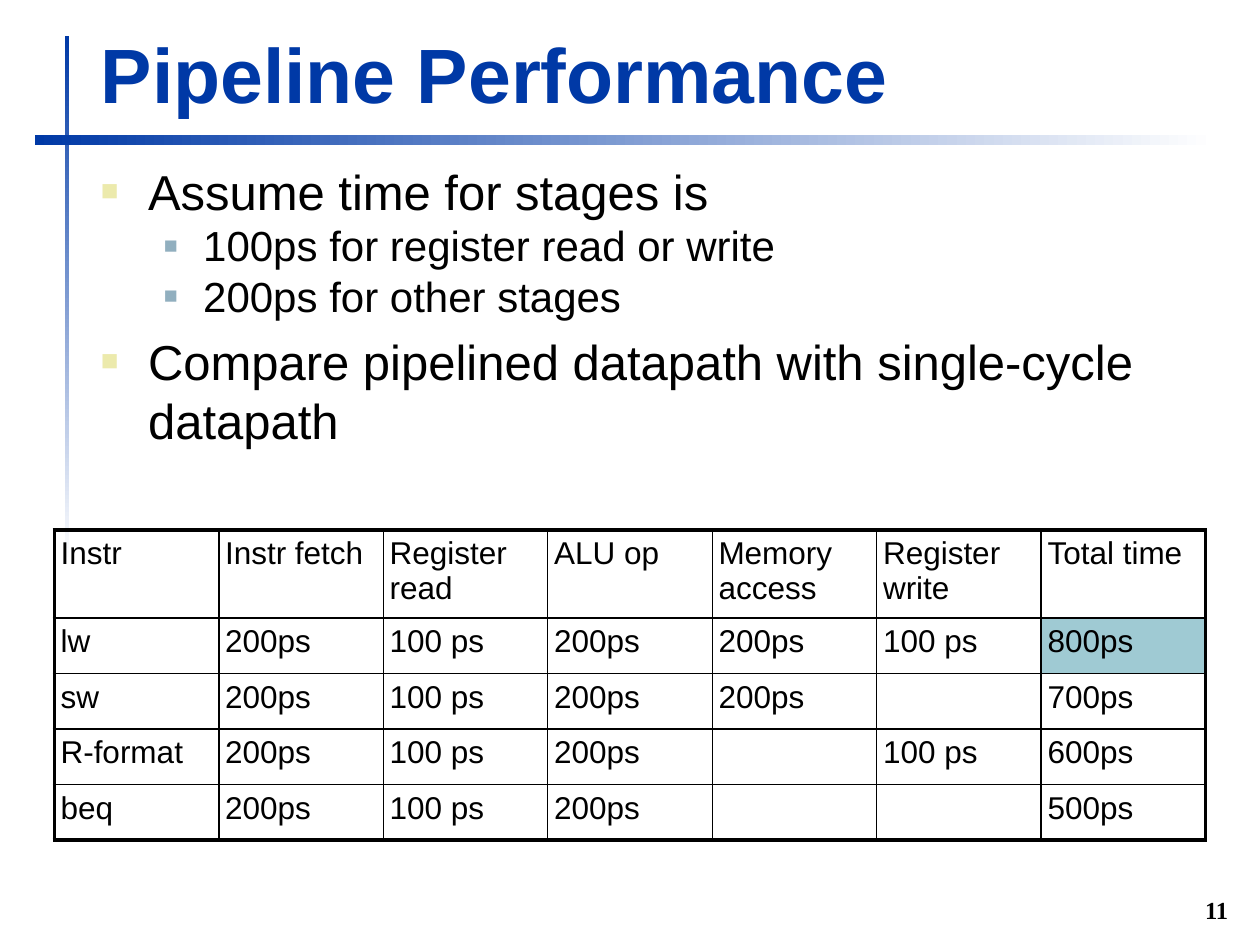
import pptx
import pptx.dml.color
import pptx.enum.shapes
import pptx.enum.text
import pptx.oxml
import pptx.oxml.ns
import pptx.util

Pt = pptx.util.Pt
ANCHOR = pptx.enum.text.MSO_ANCHOR
ALIGN = pptx.enum.text.PP_ALIGN
BLUE = "0039A6"
BLACK = "000000"
INSET = 3.6

BULLETS = [
    ("Assume time for stages is", 0),
    ("100ps for register read or write", 1),
    ("200ps for other stages", 1),
    ("Compare pipelined datapath with single-cycle datapath", 0),
]
LEVELS = [
    dict(size=28, margin=27, hang=27, color="ECEAAC", scale=60, before=6),
    dict(size=24, margin=58.5, hang=22.5, color="91AFBF", scale=55, before=0),
]
TIMES = [
    ["Instr", "Instr fetch", "Register read", "ALU op", "Memory access", "Register write", "Total time"],
    ["lw", "200ps", "100 ps", "200ps", "200ps", "100 ps", "800ps"],
    ["sw", "200ps", "100 ps", "200ps", "200ps", "", "700ps"],
    ["R-format", "200ps", "100 ps", "200ps", "", "100 ps", "600ps"],
    ["beq", "200ps", "100 ps", "200ps", "", "", "500ps"],
]
HIGHLIGHT = (1, 6)


def rgb(value):
    return pptx.dml.color.RGBColor.from_string(value)


def style(font, size, color=BLACK, name="Arial", bold=False):
    font.size = Pt(size)
    font.name = name
    font.bold = bold
    font.color.rgb = rgb(color)


def add_element(parent, tag, inner="", **attributes):
    listed = " ".join(f'{key}="{value}"' for key, value in attributes.items())
    xml = f"<a:{tag} {pptx.oxml.ns.nsdecls('a')} {listed}>{inner}</a:{tag}>"
    parent.append(pptx.oxml.parse_xml(xml))


def add_text_box(page, left, top, width, height, anchor=ANCHOR.TOP):
    box = page.shapes.add_textbox(Pt(left), Pt(top), Pt(width), Pt(height))
    frame = box.text_frame
    frame.word_wrap = True
    frame.vertical_anchor = anchor
    frame.margin_left = frame.margin_right = Pt(INSET)
    frame.margin_top = frame.margin_bottom = Pt(INSET)
    return frame


def add_fading_bar(page, left, top, width, height, angle):
    bar = page.shapes.add_shape(
        pptx.enum.shapes.MSO_SHAPE.RECTANGLE, Pt(left), Pt(top), Pt(width), Pt(height)
    )
    bar.shadow.inherit = False
    bar.line.fill.background()
    bar.fill.gradient()
    bar.fill.gradient_angle = angle
    for stop, color in zip(bar.fill.gradient_stops, ("FFFFFF", BLUE)):
        stop.color.rgb = rgb(color)


def add_title(page, left, top, width, height):
    frame = add_text_box(page, left, top, width, height, ANCHOR.BOTTOM)
    frame.text = "Pipeline Performance"
    style(frame.paragraphs[0].runs[0].font, 44, BLUE, bold=True)


def add_bullets(page, left, top, width, height):
    frame = add_text_box(page, left, top, width, height)
    for index, (text, depth) in enumerate(BULLETS):
        level = LEVELS[depth]
        para = frame.add_paragraph() if index else frame.paragraphs[0]
        para.text = text
        para.level = depth
        if index:
            para.space_before = Pt(level["before"])
        props = para._p.get_or_add_pPr()
        props.set("marL", str(int(Pt(level["margin"]))))
        props.set("indent", str(int(-Pt(level["hang"]))))
        add_element(props, "buClr", f'<a:srgbClr val="{level["color"]}"/>')
        add_element(props, "buSzPct", val=level["scale"] * 1000)
        add_element(props, "buFont", typeface="Arial")
        add_element(props, "buChar", char="■")
        style(para.runs[0].font, level["size"])


def add_borders(cell, widths):
    props = cell._tc.get_or_add_tcPr()
    fill = f'<a:solidFill><a:srgbClr val="{BLACK}"/></a:solidFill>'
    for tag, width in zip(("lnL", "lnR", "lnT", "lnB"), widths):
        add_element(props, tag, fill, w=int(Pt(width)))


def add_times_table(page, left, top, width, row_heights):
    last_row, last_column = len(TIMES) - 1, len(TIMES[0]) - 1
    box = page.shapes.add_table(
        last_row + 1, last_column + 1, Pt(left), Pt(top), Pt(width), Pt(sum(row_heights))
    )
    table = box.table
    table.first_row = table.horz_banding = False
    for column in table.columns:
        column.width = Pt(width / (last_column + 1))
    horizontal = [2.25, 1.5] + [1] * (last_row - 1) + [2.25]
    vertical = [2.25] + [1] * last_column + [2.25]
    for r, texts in enumerate(TIMES):
        table.rows[r].height = Pt(row_heights[r])
        for c, text in enumerate(texts):
            cell = table.cell(r, c)
            cell.margin_left = cell.margin_right = Pt(INSET)
            cell.margin_top = cell.margin_bottom = Pt(INSET)
            add_borders(cell, (*vertical[c:c + 2], *horizontal[r:r + 2]))
            if (r, c) == HIGHLIGHT:
                cell.fill.solid()
                cell.fill.fore_color.rgb = rgb("9FCAD3")
            else:
                cell.fill.background()
            para = cell.text_frame.paragraphs[0]
            para.text = text
            style(para.font, 18)
            for span in para.runs:
                style(span.font, 18)


def add_page_number(page, left, top, width, height):
    frame = add_text_box(page, left, top, width, height, ANCHOR.BOTTOM)
    frame.text = "11"
    para = frame.paragraphs[0]
    para.alignment = ALIGN.RIGHT
    style(para.runs[0].font, 14, name="Times New Roman", bold=True)


def main():
    deck = pptx.Presentation()
    deck.slide_width, deck.slide_height = Pt(720), Pt(540)
    page = deck.slides.add_slide(deck.slide_layouts[6])
    add_fading_bar(page, 37, 20.5, 2.5, 300, 90)
    add_fading_bar(page, 19.75, 77, 674.5, 6, 180)
    add_page_number(page, 675.5, 508.5, 30, 23)
    add_title(page, 54, 11.5, 650, 60)
    add_bullets(page, 54, 88.5, 651.5, 199.5)
    add_times_table(page, 31, 302.75, 658, [50.4] + [31.7] * 4)
    deck.save("out.pptx")


if __name__ == "__main__":
    main()
